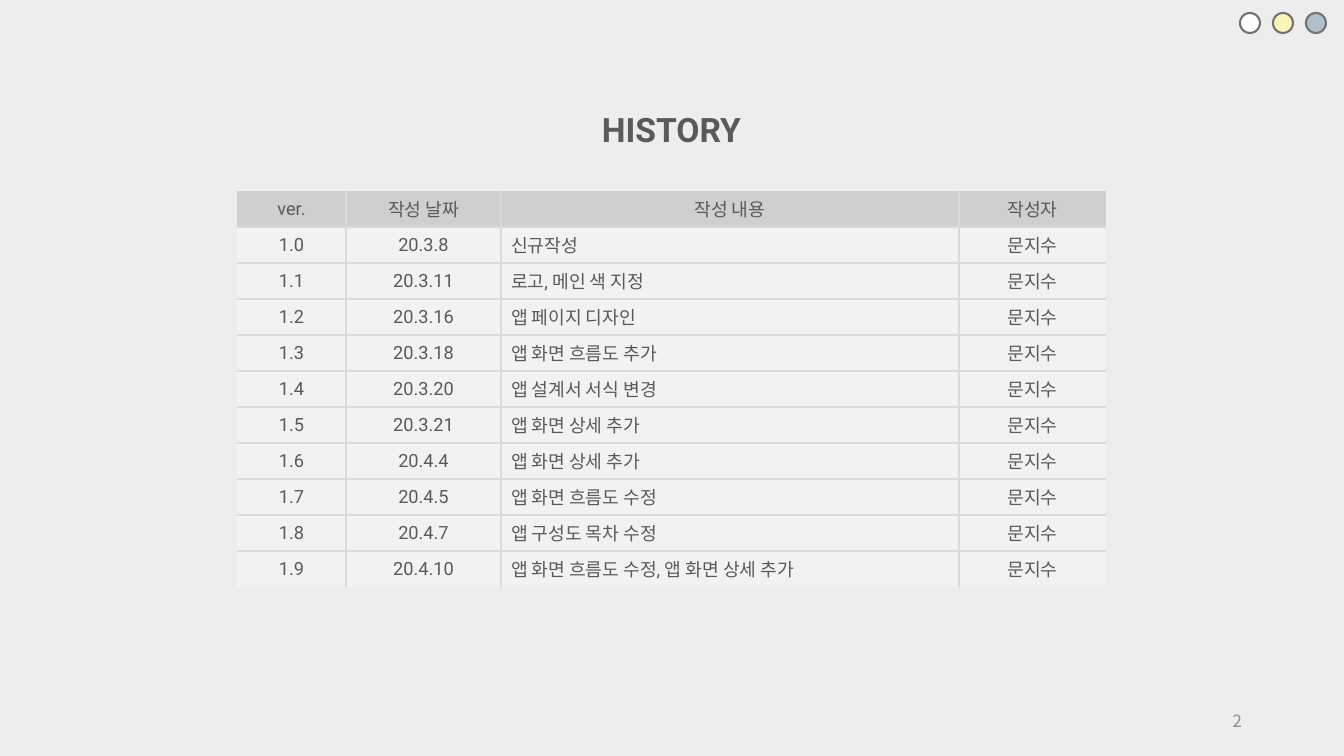
from dataclasses import dataclass

from lxml import etree
from pptx import Presentation
from pptx import util as u
from pptx.dml.color import RGBColor
from pptx.enum import shapes, text
from pptx.oxml.ns import qn

PX = 12192000 / 1344  # EMU in one px


@dataclass(frozen=True)
class Theme:
    background: str = "EDEDED"
    ink: str = "5B595A"
    page_ink: str = "8C8C8C"
    header_fill: str = "D0CECE"
    body_fill: str = "F2F2F2"
    grid: str = "D9D9D9"
    dot_line: str = "767171"
    dots: tuple = ("FFFFFF", "FDF5B7", "B1BFCC")
    font: str = "Roboto"
    font_cjk: str = "Noto Sans CJK KR"
    title_size: int = 24
    table_size: int = 13
    page_size: int = 12
    line_width: float = 1.5


def px(n):
    return u.Emu(round(n * PX))


def rgb(value):
    return RGBColor.from_string(value)


class Deck:
    def __init__(self, theme):
        self.theme = theme
        self.prs = Presentation()
        self.prs.slide_width, self.prs.slide_height = px(1344), px(756)
        self.slide = None

    def add_slide(self):
        self.slide = self.prs.slides.add_slide(self.prs.slide_layouts[5])
        fill = self.slide.background.fill
        fill.solid()
        fill.fore_color.rgb = rgb(self.theme.background)

    def set_text(self, tf, words, size, color, align, font=None, bold=False):
        p = tf.paragraphs[0]
        p.text = words
        p.alignment = align
        p.font.name = font or self.theme.font
        p.font.size = u.Pt(size)
        p.font.bold = bold
        p.font.color.rgb = rgb(color)
        # East Asian glyphs need their own font entry
        latin = p._p.pPr.find(qn("a:defRPr")).find(qn("a:latin"))
        ea = etree.Element(qn("a:ea"), typeface=self.theme.font_cjk)
        latin.addnext(ea)

    def title(self, words, x, y, w, h):
        sp = self.slide.shapes.title
        sp.left, sp.top, sp.width, sp.height = map(px, (x, y, w, h))
        tf = sp.text_frame
        tf.vertical_anchor = text.MSO_ANCHOR.MIDDLE
        self.set_text(tf, words, self.theme.title_size, self.theme.ink,
                      text.PP_ALIGN.CENTER, bold=True)

    def dot(self, color, x, y, size):
        sp = self.slide.shapes.add_shape(
            shapes.MSO_SHAPE.OVAL, px(x), px(y), px(size), px(size))
        sp.shadow.inherit = False
        sp.fill.solid()
        sp.fill.fore_color.rgb = rgb(color)
        sp.line.color.rgb = rgb(self.theme.dot_line)
        sp.line.width = u.Pt(self.theme.line_width)

    def page_number(self, words, x, y, w, h):
        sp = self.slide.shapes.add_textbox(px(x), px(y), px(w), px(h))
        tf = sp.text_frame
        tf.word_wrap = True
        tf.vertical_anchor = text.MSO_ANCHOR.MIDDLE
        self.set_text(tf, words, self.theme.page_size, self.theme.page_ink,
                      text.PP_ALIGN.RIGHT, font=self.theme.font_cjk)

    def borders(self, cell, visible):
        """Draw the visible sides and clear the others."""
        tc_pr = cell._tc.get_or_add_tcPr()
        for i, side in enumerate(("lnL", "lnR", "lnT", "lnB")):
            ln = etree.Element(qn(f"a:{side}"),
                               w=str(u.Pt(self.theme.line_width)))
            if side in visible:
                fill = etree.SubElement(ln, qn("a:solidFill"))
                etree.SubElement(fill, qn("a:srgbClr"), val=self.theme.grid)
            else:
                etree.SubElement(ln, qn("a:noFill"))
            tc_pr.insert(i, ln)

    def table(self, rows, x, y, widths, row_height, left_column):
        n_rows, n_cols = len(rows), len(widths)
        table = self.slide.shapes.add_table(
            n_rows, n_cols, px(x), px(y),
            px(sum(widths)), px(row_height * n_rows)).table
        table.first_row = table.horz_banding = False
        for column, width in zip(table.columns, widths):
            column.width = px(width)
        for i, row in enumerate(rows):
            table.rows[i].height = px(row_height)
            for j, words in enumerate(row):
                cell = table.cell(i, j)
                cell.vertical_anchor = text.MSO_ANCHOR.MIDDLE
                cell.margin_top = cell.margin_bottom = px(4)
                cell.fill.solid()
                cell.fill.fore_color.rgb = rgb(
                    self.theme.body_fill if i else self.theme.header_fill)
                left = i > 0 and j == left_column
                self.set_text(
                    cell.text_frame, words, self.theme.table_size,
                    self.theme.ink,
                    text.PP_ALIGN.LEFT if left else text.PP_ALIGN.CENTER)
                inner = {"lnL": j > 0, "lnR": j < n_cols - 1,
                         "lnT": i > 0, "lnB": i < n_rows - 1}
                self.borders(cell, [s for s, on in inner.items() if on])


HEADER = ("ver.", "작성 날짜", "작성 내용", "작성자")
AUTHOR = "문지수"
CHANGES = [
    ("20.3.8", "신규작성"),
    ("20.3.11", "로고, 메인 색 지정"),
    ("20.3.16", "앱 페이지 디자인"),
    ("20.3.18", "앱 화면 흐름도 추가"),
    ("20.3.20", "앱 설계서 서식 변경"),
    ("20.3.21", "앱 화면 상세 추가"),
    ("20.4.4", "앱 화면 상세 추가"),
    ("20.4.5", "앱 화면 흐름도 수정"),
    ("20.4.7", "앱 구성도 목차 수정"),
    ("20.4.10", "앱 화면 흐름도 수정, 앱 화면 상세 추가"),
]


def main():
    deck = Deck(Theme())
    deck.add_slide()

    # Corner dots
    for i, color in enumerate(deck.theme.dots):
        deck.dot(color, 1240 + 33 * i, 13, 20)

    # Title and version table
    deck.title("HISTORY", 567, 104, 209, 50)
    rows = [HEADER] + [(f"1.{i}", date, change, AUTHOR)
                       for i, (date, change) in enumerate(CHANGES)]
    deck.table(rows, 237, 191, (109, 155, 458, 147), 36, left_column=2)

    # Page number
    deck.page_number("2", 950, 701, 302, 40)
    deck.prs.save("out.pptx")


if __name__ == "__main__":
    main()
